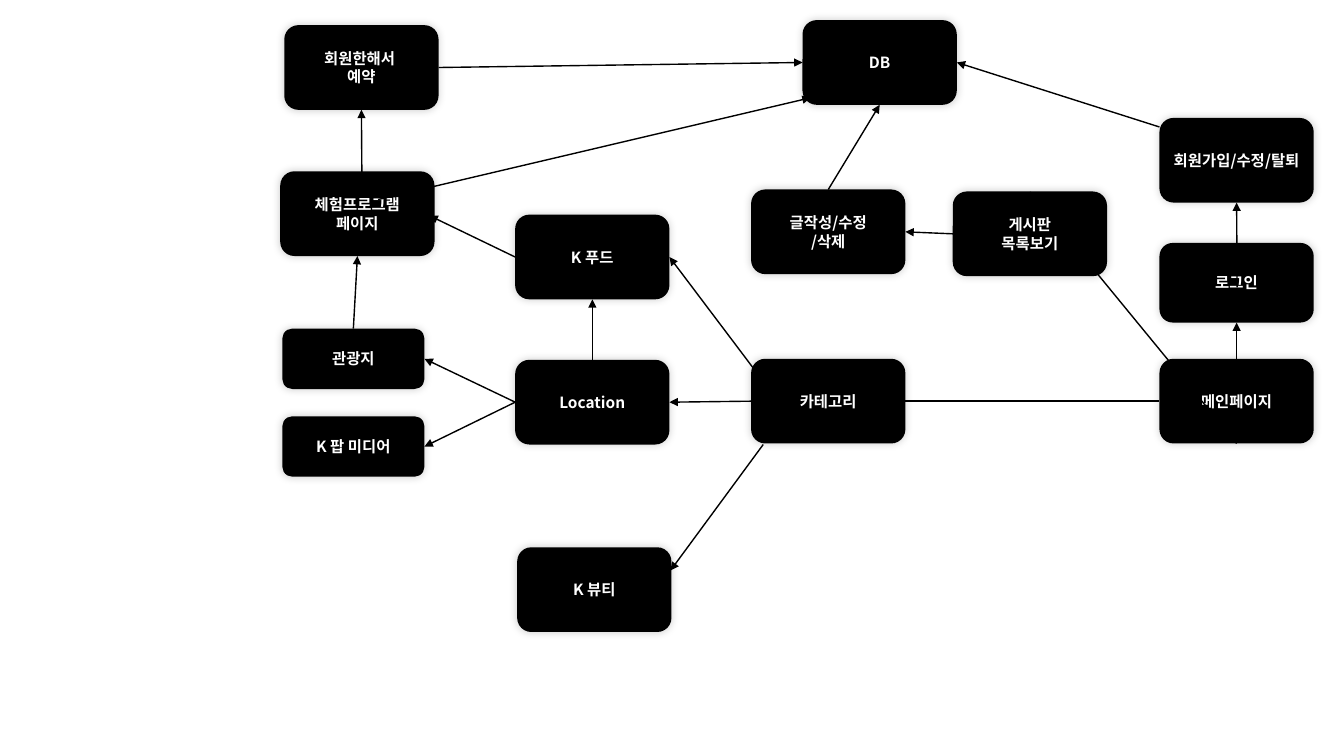
from lxml.etree import SubElement
from pptx import Presentation
from pptx.dml.color import RGBColor
from pptx.enum.shapes import MSO_CONNECTOR, MSO_SHAPE
from pptx.enum.text import MSO_ANCHOR, PP_ALIGN
from pptx.oxml.ns import qn
from pptx.util import Inches, Pt

THEME = {
    "font": "Noto Sans CJK KR",
    "size": Pt(11),
    "line": Pt(1),
    "dark": RGBColor(0, 0, 0),
    "light": RGBColor(255, 255, 255),
    "shade": "000000",
    "alpha": "20000",
    "blur": Pt(6),
    "angle": "18900000",
}

BIG = (1.53, 0.84)
LOW = (1.53, 0.79)
SMALL = (1.41, 0.6)

BOXES = {
    "join": ("회원가입/수정/탈퇴", 11.5, 1.17, BIG),
    "category": ("카테고리", 7.45, 3.56, BIG),
    "main": ("메인페이지", 11.5, 3.56, BIG),
    "program": ("체험프로그램\n페이지", 2.78, 1.7, BIG),
    "db": ("DB", 7.96, 0.2, BIG),
    "location": ("Location", 5.11, 3.57, BIG),
    "tour": ("관광지", 2.8, 3.26, SMALL),
    "board": ("게시판\n목록보기", 9.45, 1.9, BIG),
    "write": ("글작성/수정\n/삭제", 7.45, 1.88, BIG),
    "reserve": ("회원한해서 \n예약", 2.82, 0.25, BIG),
    "login": ("로그인", 11.5, 2.41, LOW),
    "media": ("K 팝 미디어", 2.8, 4.13, SMALL),
    "beauty": ("K 뷰티", 5.13, 5.43, BIG),
    "food": ("K 푸드", 5.11, 2.13, BIG),
}

ARROWS = [
    ("category left", "location right"),
    ("main bottom", "board top"),
    ((3.59, 1.82), "reserve bottom"),
    ("location left", "tour right"),
    ("board left", "write right"),
    ("main top", "login bottom"),
    ((12.27, 2.85), "join bottom"),
    ("reserve right", "db left"),
    ("food left", (4.26, 2.14)),
    ("location top", "food bottom"),
    ((11.5, 1.26), "db right"),
    ("location left", "media right"),
    ((7.57, 4.41), (6.65, 5.66)),
    ((7.53, 3.73), "food right"),
    ((3.75, 1.98), (8.04, 0.97)),
    ("write top", "db bottom"),
    ("tour top", "program bottom"),
]
PLAIN = [("category right", "main left")]

SIDES = {
    "top": (0, 0.5, 0),
    "left": (1, 0, 0.5),
    "bottom": (2, 0.5, 1),
    "right": (3, 1, 0.5),
}


def add_box(slide, text, left, top, size):
    box = slide.shapes.add_shape(
        MSO_SHAPE.FLOWCHART_ALTERNATE_PROCESS,
        *map(Inches, (left, top, *size)))
    box.fill.solid()
    box.fill.fore_color.rgb = THEME["dark"]
    box.line.fill.background()
    box.shadow.inherit = False
    glow = SubElement(
        box.element.spPr.find(qn("a:effectLst")), qn("a:outerShdw"),
        blurRad=str(THEME["blur"]), dist="0", dir=THEME["angle"])
    tint = SubElement(glow, qn("a:srgbClr"), val=THEME["shade"])
    SubElement(tint, qn("a:alpha"), val=THEME["alpha"])
    frame = box.text_frame
    frame.text = text
    frame.word_wrap = True
    frame.vertical_anchor = MSO_ANCHOR.MIDDLE
    for line in frame.paragraphs:
        line.alignment = PP_ALIGN.CENTER
        for run in line.runs:
            font = run.font
            font.name = THEME["font"]
            font.size = THEME["size"]
            font.bold = True
            font.color.rgb = THEME["light"]
            SubElement(run.font._element, qn("a:ea"), typeface=THEME["font"])
    return box


def locate(end):
    if isinstance(end, tuple):
        return tuple(map(Inches, end))
    name, side = end.split()
    _, left, top, (width, height) = BOXES[name]
    _, across, down = SIDES[side]
    return Inches(left + width * across), Inches(top + height * down)


def add_line(slide, boxes, start, stop, arrow):
    link = slide.shapes.add_connector(
        MSO_CONNECTOR.STRAIGHT, *locate(start), *locate(stop))
    for end, join in ((start, link.begin_connect), (stop, link.end_connect)):
        if isinstance(end, str):
            name, side = end.split()
            join(boxes[name], SIDES[side][0])
    link.line.color.rgb = THEME["dark"]
    link.line.width = THEME["line"]
    if arrow:
        SubElement(link.line._get_or_add_ln(), qn("a:tailEnd"), type="triangle")
    SubElement(link.element.spPr, qn("a:effectLst"))


def main():
    deck = Presentation()
    deck.slide_width, deck.slide_height = Inches(13.33), Inches(7.5)
    slide = deck.slides.add_slide(deck.slide_layouts[6])
    boxes = {name: add_box(slide, *spec) for name, spec in BOXES.items()}
    for pairs, arrow in ((PLAIN, False), (ARROWS, True)):
        for start, stop in pairs:
            add_line(slide, boxes, start, stop, arrow)
    deck.save("out.pptx")


if __name__ == "__main__":
    main()
